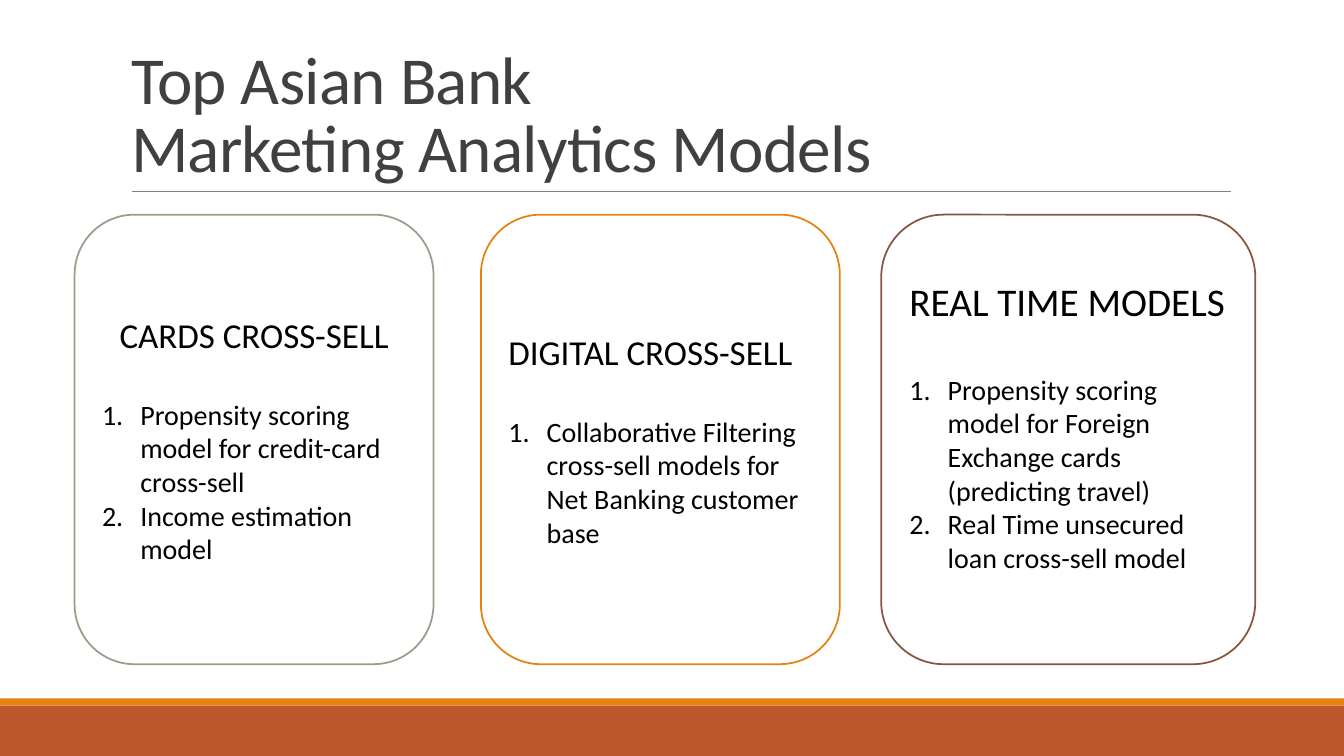
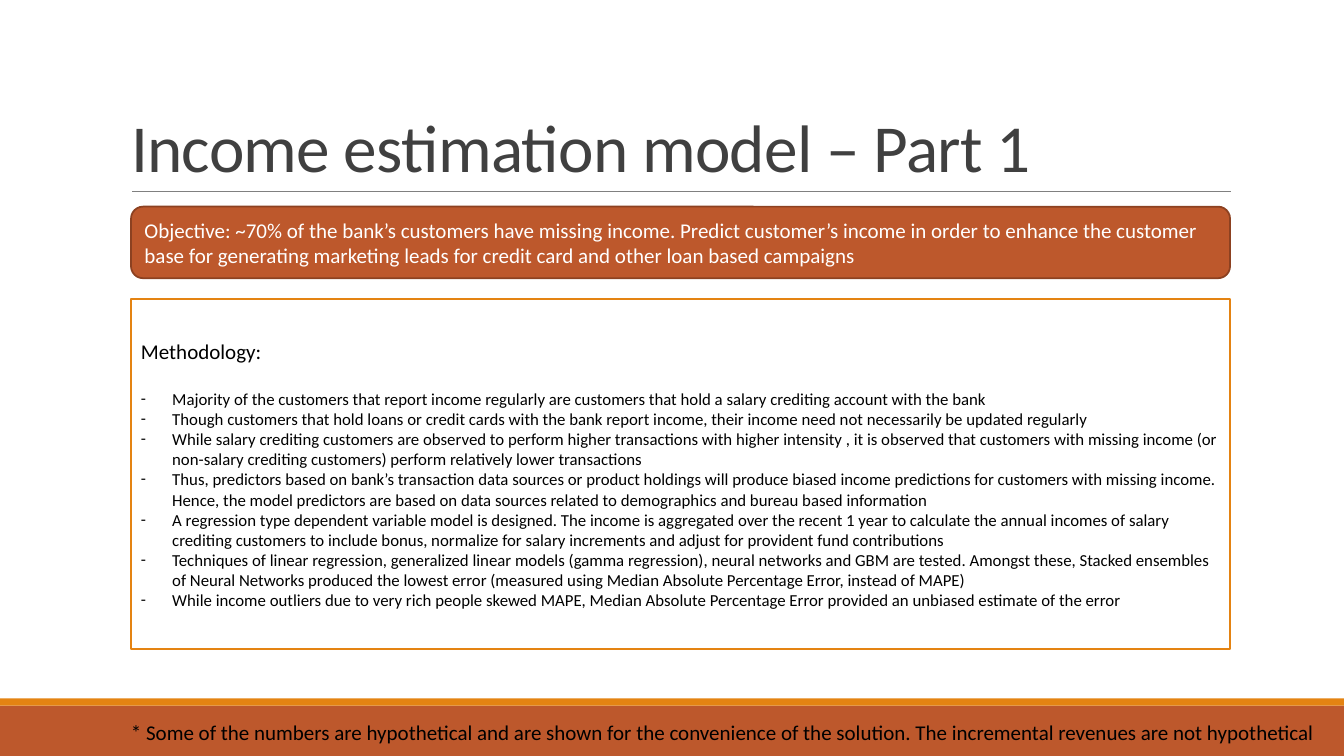
from lxml.etree import SubElement
from pptx import Presentation
from pptx.dml.color import RGBColor
from pptx.enum.shapes import MSO_CONNECTOR, MSO_SHAPE
from pptx.enum.text import MSO_ANCHOR, MSO_AUTO_SIZE, PP_ALIGN
from pptx.oxml.ns import qn
from pptx.util import Pt

SCALE = 9144
FONT = "Calibri"
INK = {
    "rust": "BD582C", "brown": "8C4121", "orange": "E48312", "sage": "94A088",
    "cocoa": "865640", "gray": "808080", "dark": "404040", "black": "000000",
    "white": "FFFFFF",
}
CARDS = [
    {"box": (74, 213, 356, 446), "edge": "sage", "head": "CARDS CROSS-SELL",
     "size": 25, "align": PP_ALIGN.CENTER,
     "items": ["Propensity scoring model for credit-card cross-sell",
               "Income estimation model"]},
    {"box": (477, 213, 356, 446), "edge": "orange", "head": "DIGITAL CROSS-SELL",
     "size": 25,
     "items": ["Collaborative Filtering cross-sell models for Net Banking customer base"]},
    {"box": (874, 213, 371, 446), "edge": "cocoa", "head": "REAL TIME MODELS",
     "size": 28, "base": 32,
     "items": ["Propensity scoring model for Foreign Exchange cards (predicting travel)",
               "Real Time unsecured loan cross-sell model"]},
]
GOAL = ("Objective: ~70% of the bank’s customers have missing income. Predict customer’s "
        "income in order to enhance the customer base for generating marketing leads for "
        "credit card and other loan based campaigns")
STEPS = [
    "Majority of the customers that report income regularly are customers that hold a "
    "salary crediting account with the bank",
    "Though customers that hold loans or credit cards with the bank report income, their "
    "income need not necessarily be updated regularly",
    "While salary crediting customers are observed to perform higher transactions with "
    "higher intensity , it is observed that customers with missing income (or non-salary "
    "crediting customers) perform relatively lower transactions",
    "Thus, predictors based on bank’s transaction data sources or product holdings will "
    "produce biased income predictions for customers with missing income. Hence, the model "
    "predictors are based on data sources related to demographics and bureau based information",
    "A regression type dependent variable model is designed. The income is aggregated over "
    "the recent 1 year to calculate the annual incomes of salary crediting customers to "
    "include bonus, normalize for salary increments and adjust for provident fund contributions",
    "Techniques of linear regression, generalized linear models (gamma regression), neural "
    "networks and GBM are tested. Amongst these, Stacked ensembles of Neural Networks produced "
    "the lowest error (measured using Median Absolute Percentage Error, instead of MAPE)",
    "While income outliers due to very rich people skewed MAPE, Median Absolute Percentage "
    "Error provided an unbiased estimate of the error",
]
NOTE = ("* Some of the numbers are hypothetical and are shown for the convenience of the "
        "solution. The incremental revenues are not hypothetical")


def px(*nums):
    return [num * SCALE for num in nums]


def tint(name):
    return RGBColor.from_string(INK[name])


def write(frame, text, size, ink="black", align=PP_ALIGN.LEFT, after=0,
          lead=None, track=None, mark=None, hang=0):
    para = frame.paragraphs[0]
    if para.text:
        para = frame.add_paragraph()
    para.text = text
    para.alignment = align
    para.space_before, para.space_after = Pt(0), Pt(after)
    if lead:
        para.line_spacing = lead
    for run in para.runs:
        run.font.name, run.font.size = FONT, Pt(size)
        run.font.color.rgb = tint(ink)
        if track is not None:
            run.font.element.set("spc", str(track)) if hasattr(run.font, "element") \
                else run._r.get_or_add_rPr().set("spc", str(track))
    if mark:
        props = para._p.get_or_add_pPr()
        props.set("marL", str(hang * SCALE))
        props.set("indent", str(-hang * SCALE))
        SubElement(props, qn("a:buFont"), typeface=FONT)
        if mark == "1.":
            SubElement(props, qn("a:buAutoNum"), type="arabicPeriod")
        else:
            SubElement(props, qn("a:buChar"), char=mark)


def block(slide, kind, box, fill, edge=None):
    shape = slide.shapes.add_shape(kind, *px(*box))
    shape.shadow.inherit = False
    shape.fill.solid()
    shape.fill.fore_color.rgb = tint(fill)
    if edge:
        shape.line.color.rgb = tint(edge)
        shape.line.width = Pt(1.25)
    else:
        shape.line.fill.background()
    shape.text_frame.word_wrap = True
    shape.text_frame.vertical_anchor = MSO_ANCHOR.MIDDLE
    return shape


def rule(slide, start, end):
    line = slide.shapes.add_connector(MSO_CONNECTOR.STRAIGHT, *px(*start, *end))
    line.line.color.rgb = tint("gray")
    line.line.width = Pt(0.5)
    SubElement(line.element.spPr, qn("a:effectLst"))
    return line


def theme(layout, slide):
    parts = [
        block(slide, MSO_SHAPE.RECTANGLE, (0, 700, 1334, 50), "rust"),
        block(slide, MSO_SHAPE.RECTANGLE, (0, 693, 1334, 7), "orange"),
        rule(slide, (131, 190), (1221, 190)),
    ]
    for part in parts:
        layout.shapes.element.append(part.element)
    head = layout.placeholders[0]
    head.left, head.top, head.width, head.height = px(120, 31, 1100, 159)
    head.text_frame.vertical_anchor = MSO_ANCHOR.BOTTOM
    head.text_frame.auto_size = MSO_AUTO_SIZE.NONE


def title(slide, text):
    write(slide.shapes.title.text_frame, text, 48, ink="dark", lead=0.85, track=-50)


def card(slide, box, edge, head, size, items, align=PP_ALIGN.LEFT, base=5):
    frame = block(slide, MSO_SHAPE.ROUNDED_RECTANGLE, box, "white", edge).text_frame
    frame.margin_bottom = base * SCALE
    write(frame, head, size, align=align, after=round(size * 1.22))
    for item in items:
        write(frame, item, 20, mark="1.", hang=38)


def goal(slide, box):
    shape = block(slide, MSO_SHAPE.ROUNDED_RECTANGLE, box, "rust", "brown")
    write(shape.text_frame, GOAL, 15, ink="white")


def method(slide, box):
    frame = block(slide, MSO_SHAPE.RECTANGLE, box, "white", "orange").text_frame
    write(frame, "Methodology:", 15, after=18)
    for step in STEPS:
        write(frame, step, 12, mark="-", hang=31)


def note(slide, box):
    frame = slide.shapes.add_textbox(*px(*box)).text_frame
    frame.word_wrap = True
    write(frame, NOTE, 15)


def main():
    deck = Presentation()
    deck.slide_width, deck.slide_height = px(1333, 750)
    layout = deck.slide_layouts[5]
    models, income = [deck.slides.add_slide(layout) for _ in range(2)]
    theme(layout, models)

    title(models, "Top Asian Bank\vMarketing Analytics Models")
    for data in CARDS:
        card(models, **data)

    title(income, "Income estimation model – Part 1")
    goal(income, (130, 205, 1090, 71))
    method(income, (130, 297, 1090, 347))
    note(income, (120, 709, 1206, 35))
    deck.save("out.pptx")


if __name__ == "__main__":
    main()
